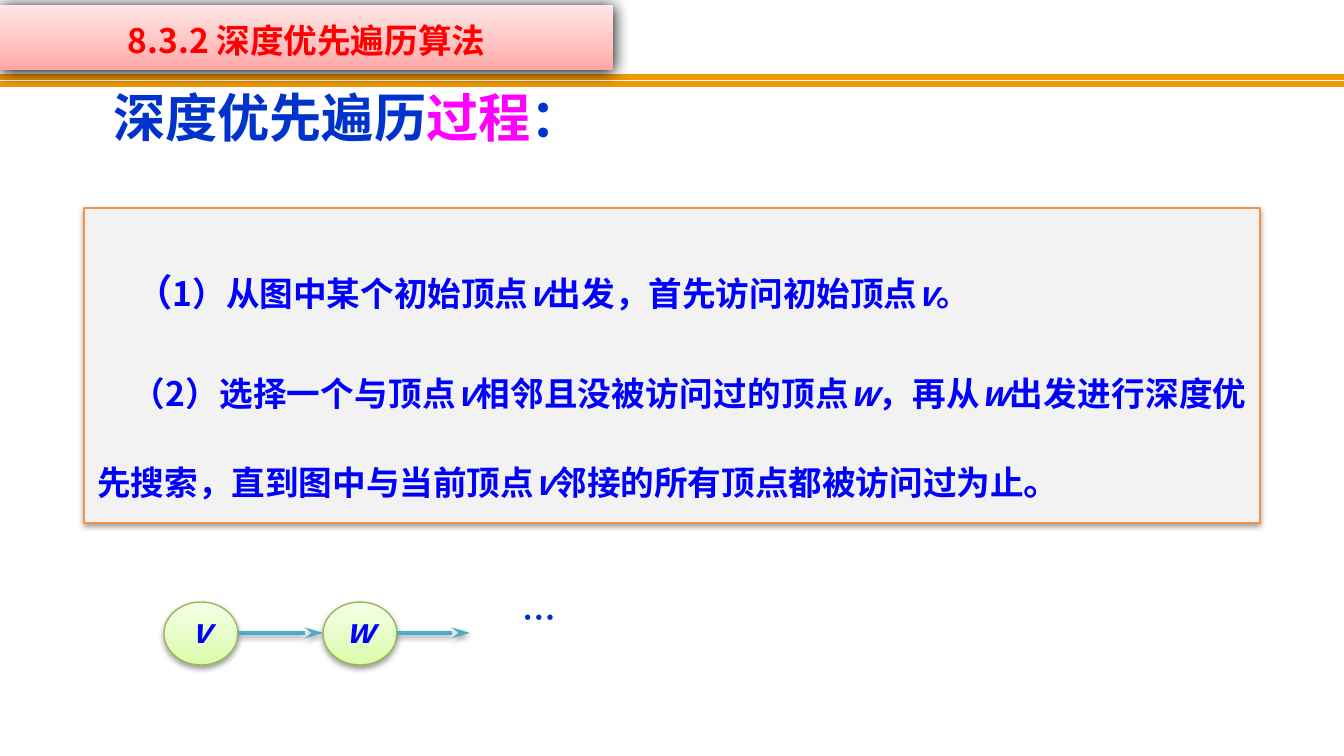
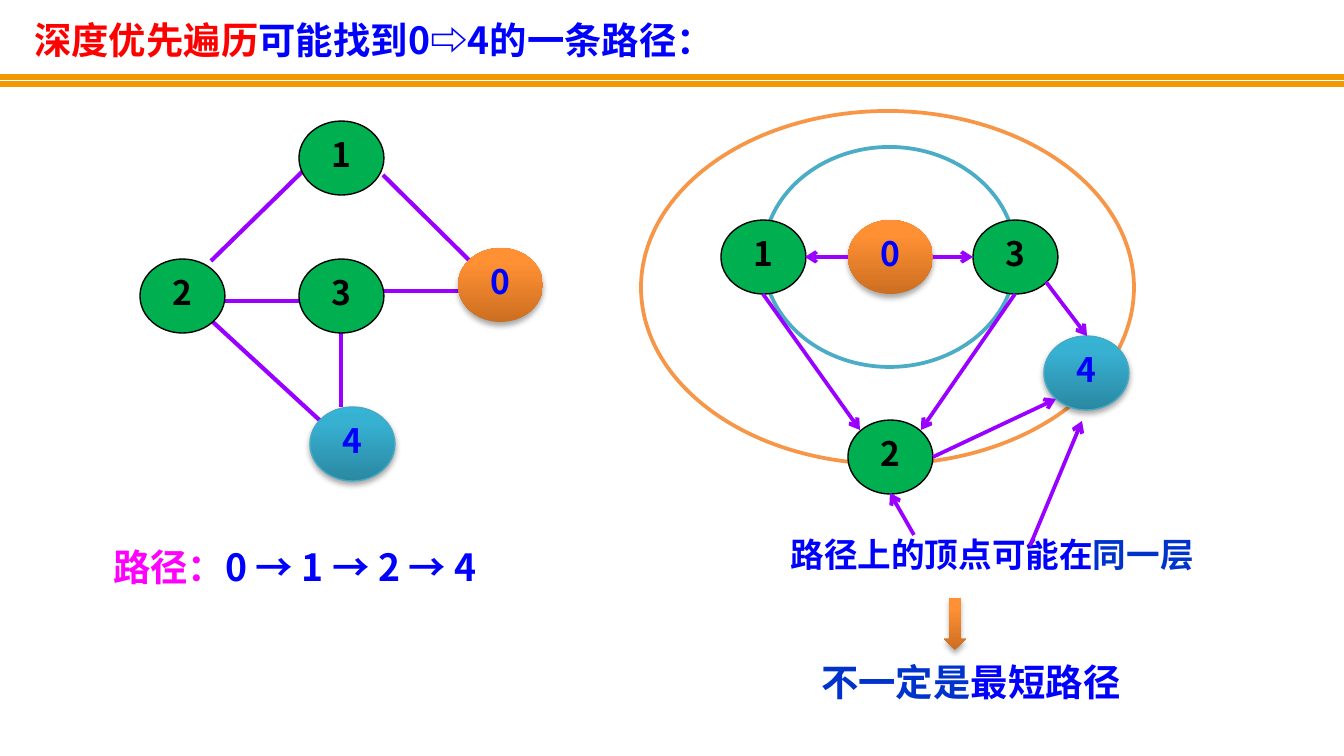
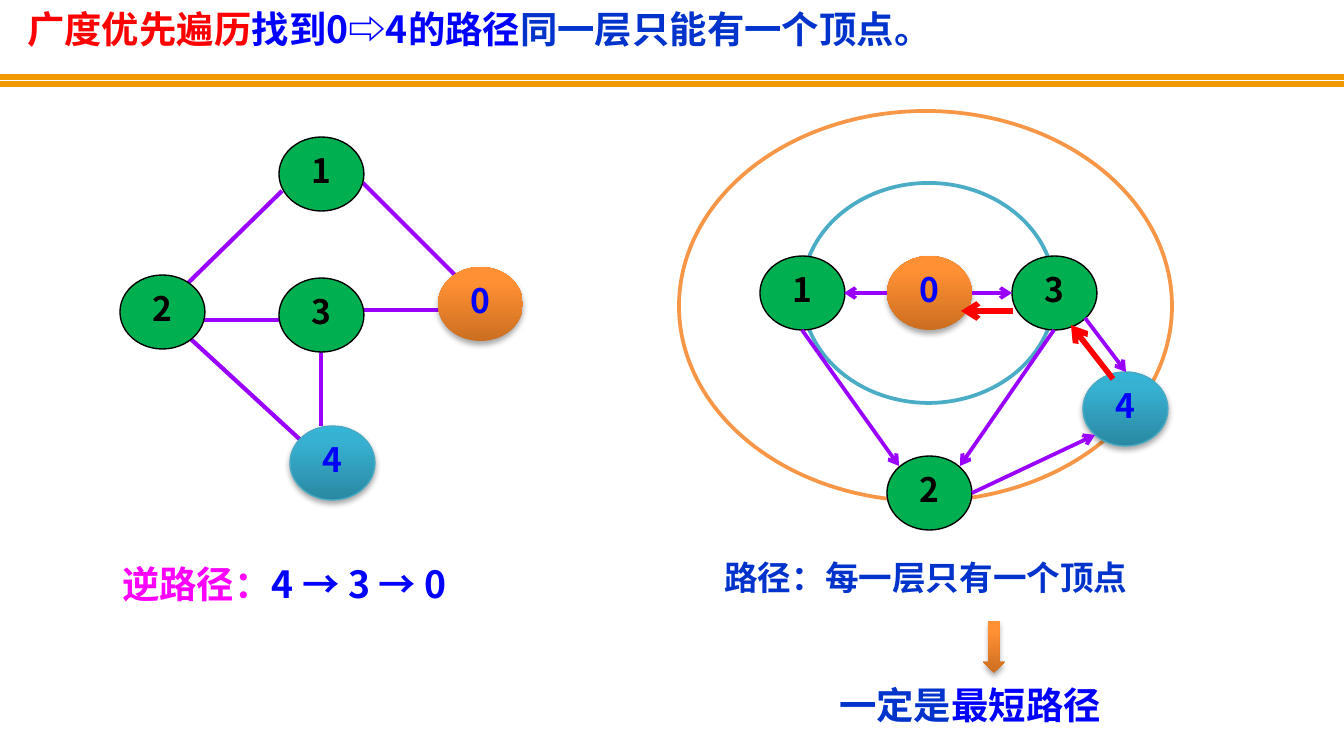
from dataclasses import dataclass

from lxml.etree import SubElement as Sub
from pptx import Presentation
from pptx.dml.color import RGBColor as RGB
from pptx.enum.shapes import MSO_CONNECTOR as CXN, MSO_SHAPE as SHAPE
from pptx.enum.text import MSO_ANCHOR as ANCHOR, PP_ALIGN as ALIGN
from pptx.oxml.ns import qn
from pptx.util import Pt

PX = 914400 / 134.4


@dataclass(frozen=True)
class Theme:
    font: str = "Noto Sans CJK SC"
    small: int = 18
    mid: int = 20
    large: int = 28
    blue: str = "0000FF"
    navy: str = "0033CC"
    red: str = "FF0000"
    pink: str = "FF00FF"
    black: str = "000000"
    white: str = "FFFFFF"
    gray: str = "F2F2F2"
    gold: str = "F19903"
    edge: str = "9900FF"
    green: str = "00B050"
    teal: str = "4BACC6"
    rim: str = "46AAC5"
    leaf: str = "98B955"
    amber: str = "F69240"
    ring: str = "F79646"
    # gradient stops run from bottom to top
    rose: tuple = ((0, "FFA6A5"), (35, "FFC0BF"), (100, "FFE7E7"))
    lime: tuple = ((0, "DAFDA7"), (35, "E4FCC2"), (100, "F5FFE7"))
    sea: tuple = ((0, "2A88A2"), (80, "37B1D2"), (100, "34B4D6"))
    fire: tuple = ((0, "CC6E20"), (80, "FF9034"), (100, "FF9136"))
    # shadows: opacity in percent, blur and distance in points
    soft: tuple = (38, 3.15, 1.57)
    deep: tuple = (35, 3.15, 1.81)
    heavy: tuple = (100, 8.5, 1)


T = Theme()

NODE = (85, 74)
# look of a node: fill, outline, shadow, text colour
PLAIN = (T.green, T.black, None, T.black)
LOOK = {"0": (T.fire, None, T.deep, T.blue),
        "4": (T.sea, T.rim, T.deep, T.blue)}

PAIR = {"1": (299, 121), "2": (140, 259)}
TRIO = {"3": (299, 259), "4": (310, 407), "0": (458, 248)}
LINKS = [(202, 312, 327, 427), (224, 301, 309, 301),
         (341, 333, 341, 407), (383, 291, 468, 291)]

TIERS = {"0": (848, 220), "1": (721, 220), "3": (973, 220),
         "2": (848, 420), "4": (1044, 336)}
STEPS = [(933, 257, 973, 257), (848, 257, 805, 257), (763, 294, 860, 430),
         (1015, 294, 921, 430), (1046, 282, 1087, 336), (933, 457, 1056, 399)]


def emu(*nums):
    return [round(n * PX) for n in nums]


def shade(part, look):
    """Give the part its own shadow, or none at all."""
    fx = Sub(part._element.spPr, qn("a:effectLst"))
    if look:
        alpha, blur, dist = look
        drop = Sub(fx, qn("a:outerShdw"), blurRad=str(Pt(blur)),
                   dist=str(Pt(dist)), dir="5400000", rotWithShape="0")
        tint = Sub(drop, qn("a:srgbClr"), val=T.black)
        Sub(tint, qn("a:alpha"), val=str(alpha * 1000))


def paint(part, fill):
    """Fill with one colour, or with a gradient if stops are given."""
    if isinstance(fill, str):
        part.fill.solid()
        part.fill.fore_color.rgb = RGB.from_string(fill)
        return
    part.fill.gradient()
    part.fill.gradient_angle = 90
    stops = part._element.spPr.find(qn("a:gradFill")).find(qn("a:gsLst"))
    for old in list(stops):
        stops.remove(old)
    for pos, hue in fill:
        stop = Sub(stops, qn("a:gs"), pos=str(pos * 1000))
        Sub(stop, qn("a:srgbClr"), val=hue)


def form(slide, kind, box, fill, line=None, wide=0.75, glow=None):
    part = slide.shapes.add_shape(kind, *emu(*box))
    paint(part, fill)
    if line:
        part.line.color.rgb = RGB.from_string(line)
        part.line.width = Pt(wide)
    else:
        part.line.fill.background()
    shade(part, glow)
    return part


def wire(slide, ends, hue, wide, head=None, glow=None, span="med"):
    part = slide.shapes.add_connector(CXN.STRAIGHT, *emu(*ends))
    part.line.color.rgb = RGB.from_string(hue)
    part.line.width = Pt(wide)
    if head:
        Sub(part.line._get_or_add_ln(), qn("a:tailEnd"), type=head, len=span)
    shade(part, glow)


def put(para, size, runs, align=ALIGN.LEFT, lead=0.8):
    """Write (text, colour) runs into a paragraph."""
    para.alignment, para.line_spacing = align, lead
    font = para.font
    font.name, font.size, font.bold = T.font, Pt(size), True
    Sub(font._rPr, qn("a:ea"), typeface=T.font)
    same = len({hue for _, hue in runs}) == 1
    if same:
        font.color.rgb = RGB.from_string(runs[0][1])
    for text, hue in runs:
        run = para.add_run()
        run.text = text
        if not same:
            run.font.color.rgb = RGB.from_string(hue)


def label(slide, box, size, *runs, align=ALIGN.LEFT):
    frame = slide.shapes.add_textbox(*emu(*box)).text_frame
    frame.word_wrap = True
    put(frame.paragraphs[0], size, runs, align)


def panel(part, pad):
    """Ready a shape for text that starts at its top."""
    frame = part.text_frame
    frame.word_wrap = True
    frame.vertical_anchor = ANCHOR.TOP
    frame.margin_top, frame.margin_bottom = emu(pad, pad)
    return frame


def ball(slide, box, text, fill, line, glow, hue):
    frame = form(slide, SHAPE.OVAL, box, fill, line, glow=glow).text_frame
    frame.word_wrap = False
    frame.vertical_anchor = ANCHOR.MIDDLE
    para = frame.paragraphs[0]
    put(para, T.small, [(text, hue)], ALIGN.CENTER)
    return para


def balls(slide, spots, dx=0, dy=0):
    for name, (x, y) in spots.items():
        ball(slide, (x + dx, y + dy, *NODE), name, *LOOK.get(name, PLAIN))


def wires(slide, lines, wide, head=None, dx=0, dy=0, hue=T.edge):
    for x1, y1, x2, y2 in lines:
        wire(slide, (x1 + dx, y1 + dy, x2 + dx, y2 + dy), hue, wide, head)


def rings(slide, outer, dx=0, dy=0):
    form(slide, SHAPE.OVAL, outer, T.white, T.ring, 2)
    form(slide, SHAPE.OVAL, (763 + dx, 147 + dy, 253, 220),
         T.white, T.teal, 2)


def tiers(slide, dx=0, dy=0):
    """Draw the vertices by distance from 0, with the search steps."""
    balls(slide, TIERS, dx, dy)
    wires(slide, STEPS, 2, "arrow", dx, dy)


def graph(slide, tops, dx=0, dy=0, lift=0):
    """Draw the graph; tops are the edges at 1, lift raises 1 and 2."""
    wires(slide, tops, 2.25)
    wires(slide, LINKS, 2.25, None, dx, dy)
    balls(slide, PAIR, dx, dy - lift)
    balls(slide, TRIO, dx, dy)


def close(slide, arrow, box, claim):
    form(slide, SHAPE.DOWN_ARROW, (*arrow, 22, 52), T.fire, glow=T.deep)
    label(slide, box, T.mid, (claim, T.navy), ("最短路径", T.blue))


def page(deck):
    slide = deck.slides.add_slide(deck.slide_layouts[6])
    for y in (77, 84):
        wire(slide, (0, y, 1344, y), T.gold, 3)
    return slide


def prose(para, text, indent, big):
    """Write a body paragraph cut at bars; run number big is larger."""
    para._p.get_or_add_pPr().set("indent", str(emu(indent)[0]))
    put(para, T.small, [(bit, T.blue) for bit in text.split("|")],
        ALIGN.JUSTIFY, 2)
    for run in para.runs:
        if run.text in ("v", "w"):
            run.font.italic = True
    para.runs[big].font.size = Pt(T.mid)


def process(deck):
    slide = page(deck)
    body = form(slide, SHAPE.RECTANGLE, (84, 208, 1176, 315),
                T.gray, T.amber, glow=T.soft)
    frame = panel(body, 16)
    first, second = frame.paragraphs[0], frame.add_paragraph()
    prose(first, "（|1）从图中某个初始顶点|v|出发，首先访问初始顶点|v|。", 38, 0)
    prose(second, "（2）选择一个与顶点|v|相邻且没被访问过的顶点|w|，再从|w|"
          "出发进行深度优先搜索，直到图中与当前顶点|v|"
          "邻接的所有顶点都被访问过为止|。", 34, -1)
    second.space_before = Pt(10)

    banner = form(slide, SHAPE.RECTANGLE, (0, 5, 613, 65),
                  T.rose, glow=T.heavy)
    put(panel(banner, 11).paragraphs[0], T.small,
        [("8.3.2 深度优先遍历算法", T.red)], ALIGN.CENTER, 1.1)

    for x, name, end in ((164, "v", 323), (323, "w", 470)):
        para = ball(slide, (x, 602, 74, 63), name,
                    T.lime, T.leaf, T.soft, T.blue)
        para.font.italic = True
        wire(slide, (x + 74, 633, end, 633), T.teal, 2, "stealth", T.soft,
             "lg")
    label(slide, (492, 598, 95, 46), T.small, ("…", T.navy),
          align=ALIGN.CENTER)
    label(slide, (100, 91, 543, 65), T.large, ("深度优先遍历", T.navy),
          ("过程", T.pink), ("：", T.navy))


def depth(deck):
    slide = page(deck)
    rings(slide, (641, 111, 493, 353))
    label(slide, (21, 19, 861, 50), T.mid, ("深度优先遍历", T.red),
          ("可能找到0⇨4的一条路径：", T.blue))
    graph(slide, [(383, 175, 478, 269), (306, 168, 211, 261)])
    tiers(slide)
    label(slide, (100, 546, 589, 50), T.mid, ("路径：", T.pink),
          ("0 → 1 → 2 → 4", T.blue))
    label(slide, (682, 535, 620, 46), T.small, ("路径上的顶点可能在", T.blue),
          ("同一层", T.navy), align=ALIGN.CENTER)
    wires(slide, [(914, 535, 890, 493), (1030, 546, 1082, 421)], 2, "arrow")
    close(slide, (944, 598), (808, 661, 357, 50), "不一定是")


def breadth(deck):
    slide = page(deck)
    shift = (39, 36)
    rings(slide, (679, 111, 493, 390), *shift)
    graph(slide, [(363, 183, 458, 278), (282, 191, 187, 284)], -20, 19, 3)
    tiers(slide, *shift)
    label(slide, (14, 8, 1113, 50), T.mid, ("广度优先遍历", T.red),
          ("找到0⇨4的路径", T.blue), ("同一层只能有一个顶点。", T.navy))
    label(slide, (109, 563, 493, 50), T.mid, ("逆路径：", T.pink),
          ("4 → 3 → 0", T.blue))
    wires(slide, [(1113, 379, 1071, 325), (1013, 311, 961, 311)], 3, "arrow",
          hue=T.red)
    label(slide, (648, 558, 556, 46), T.small,
          ("路径：每一层只有一个顶点", T.navy), align=ALIGN.CENTER)
    close(slide, (983, 621), (826, 684, 347, 50), "一定是")


def main():
    deck = Presentation()
    deck.slide_width, deck.slide_height = emu(1344, 756)
    process(deck)
    depth(deck)
    breadth(deck)
    deck.save("out.pptx")


if __name__ == "__main__":
    main()
